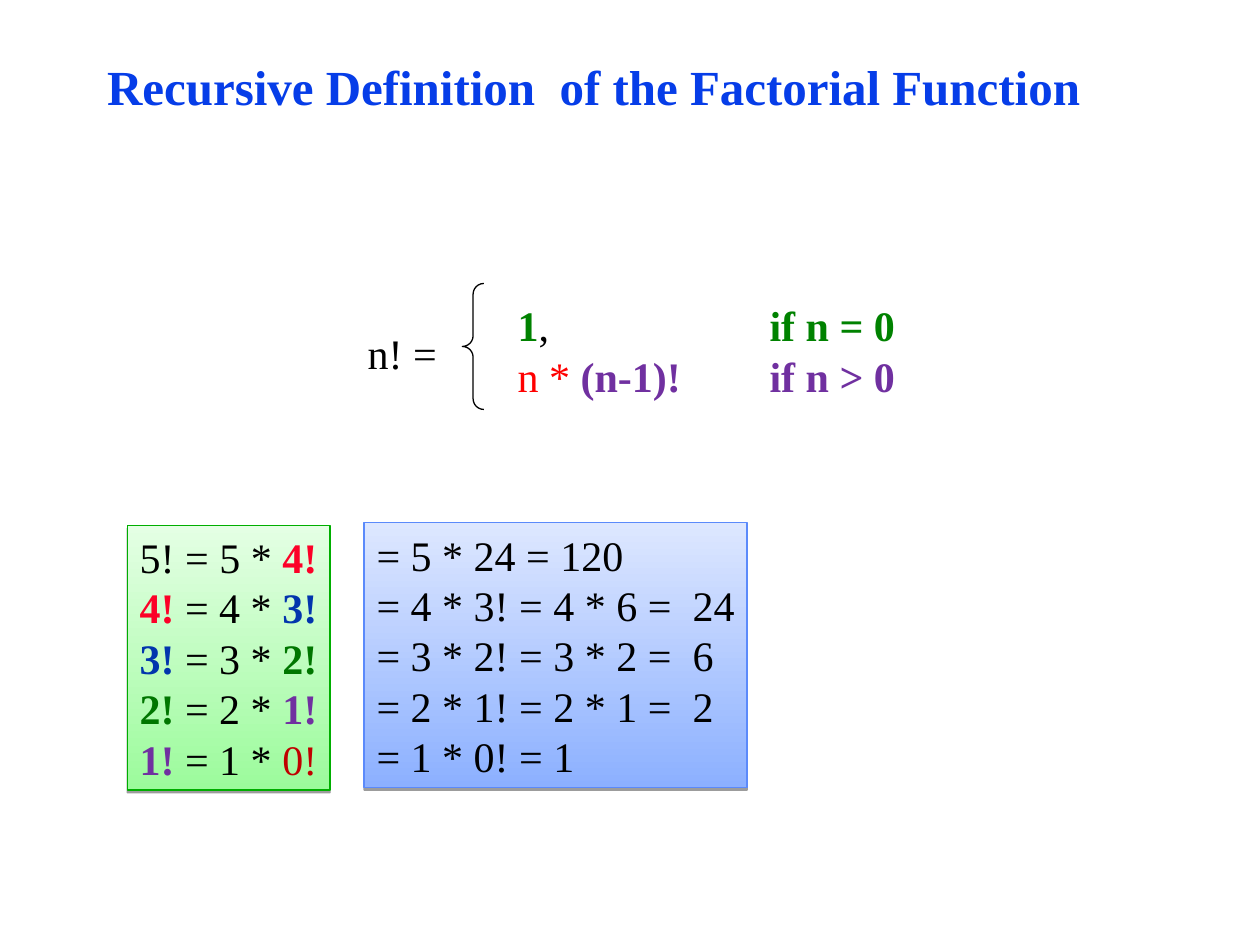
"""Build a slide that defines the factorial function recursively."""
from lxml import etree
from pptx import Presentation
from pptx.dml.color import RGBColor
from pptx.enum.shapes import MSO_SHAPE
from pptx.enum.text import MSO_ANCHOR, PP_ALIGN
from pptx.oxml import parse_xml
from pptx.oxml.ns import qn
from pptx.util import Inches, Pt

LEFT, TOP, MIDDLE = PP_ALIGN.LEFT, MSO_ANCHOR.TOP, MSO_ANCHOR.MIDDLE
RECTANGLE, LEFT_BRACE = MSO_SHAPE.RECTANGLE, MSO_SHAPE.LEFT_BRACE
BLACK, GREEN, PURPLE = "000000", "008200", "7030A0"
SHADOW = (
    '<a:outerShdw xmlns:a="http://schemas.openxmlformats.org/drawingml/2006/main" '
    'blurRad="0" dist="20000" dir="5400000" rotWithShape="0">'
    '<a:srgbClr val="000000"><a:alpha val="38000"/></a:srgbClr></a:outerShdw>'
)


def color(value):
    """Turn a hex string into a colour."""
    return RGBColor.from_string(value)


def write(frame, lines, size=24, anchor=TOP, wrap=False):
    """Fill a text frame with lines of (text, colour, bold) runs."""
    frame.word_wrap, frame.vertical_anchor = wrap, anchor
    for index, line in enumerate(lines):
        paragraph = frame.add_paragraph() if index else frame.paragraphs[0]
        paragraph.alignment = LEFT
        for text, shade, bold in line:
            run = paragraph.add_run()
            run.text = text
            run.font.color.rgb = color(shade)
            look = {"name": "Times New Roman", "size": Pt(size), "bold": bold}
            for key, value in look.items():
                setattr(run.font, key, value)


deck = Presentation()
deck.slide_width, deck.slide_height = Inches(10), Inches(7.5)
slide = deck.slides.add_slide(deck.slide_layouts[5])
shapes = slide.shapes

title = shapes.title
place = {"left": 0.75, "top": 0.43, "width": 8.5, "height": 0.5}
for key, value in place.items():
    setattr(title, key, Inches(value))
heading = "Recursive Definition  of the Factorial Function"
write(title.text_frame, [[(heading, "063DE8", True)]], 28, MIDDLE, True)

brace = shapes.add_shape(LEFT_BRACE, Inches(3.67), Inches(2.25), Inches(0.17), Inches(1))
brace.adjustments[0] = 0.5
brace.shadow.inherit = False
brace.fill.background()
brace.line.color.rgb = color(BLACK)
brace.line.width = Pt(0.74)

cases = [
    [("1", GREEN, True), (",\t", BLACK, False), ("if n = 0", GREEN, True)],
    [("n * ", "FF0000", False), ("(n-1)!\tif n > 0", PURPLE, True)],
]
definition = [
    ((2.82, 2.55, 0.83, 0.5), [[("n! =", BLACK, False)]]),
    ((4.01, 2.33, 3.3, 0.9), cases),
]
for box, lines in definition:
    part = shapes.add_textbox(*map(Inches, box))
    write(part.text_frame, lines, wrap=lines is cases)
for paragraph in part.text_frame.paragraphs:
    tabs = etree.SubElement(paragraph._p.get_or_add_pPr(), qn("a:tabLst"))
    etree.SubElement(tabs, qn("a:tab"), pos=str(Inches(2)), algn="l")

factorial_colors = {5: BLACK, 4: "FC0128", 3: "0235AD", 2: "007600", 1: PURPLE, 0: "C00000"}
calls = [
    [
        (f"{n}!", factorial_colors[n], n < 5),
        (f" = {n} * ", BLACK, False),
        (f"{n - 1}!", factorial_colors[n - 1], n > 1),
    ]
    for n in range(5, 0, -1)
]
results = ["= 5 * 24 = 120"]
results += [f"= {n} * {n - 1}! = {n} * {value} =  {n * value}" for n, value in ((4, 6), (3, 2), (2, 1))]
results += ["= 1 * 0! = 1"]
panels = [
    ((1.01, 4.17, 1.61, 2.1), ("9CFB9C", "E4FFE4"), "00AE00", calls),
    ((2.89, 4.15, 3.04, 2.1), ("8CB0FF", "DDE7FF"), "5B8AFB", [[(text, BLACK, False)] for text in results]),
]
for box, shades, border, lines in panels:
    panel = shapes.add_shape(RECTANGLE, *map(Inches, box))
    panel.fill.gradient()
    panel.fill.gradient_angle = 90
    for stop, shade in zip(panel.fill.gradient_stops, shades):
        stop.color.rgb = color(shade)
    panel.line.color.rgb = color(border)
    panel.line.width = Pt(0.74)
    panel.shadow.inherit = False
    panel._element.spPr.find(qn("a:effectLst")).append(parse_xml(SHADOW))
    write(panel.text_frame, lines)

deck.save("out.pptx")
